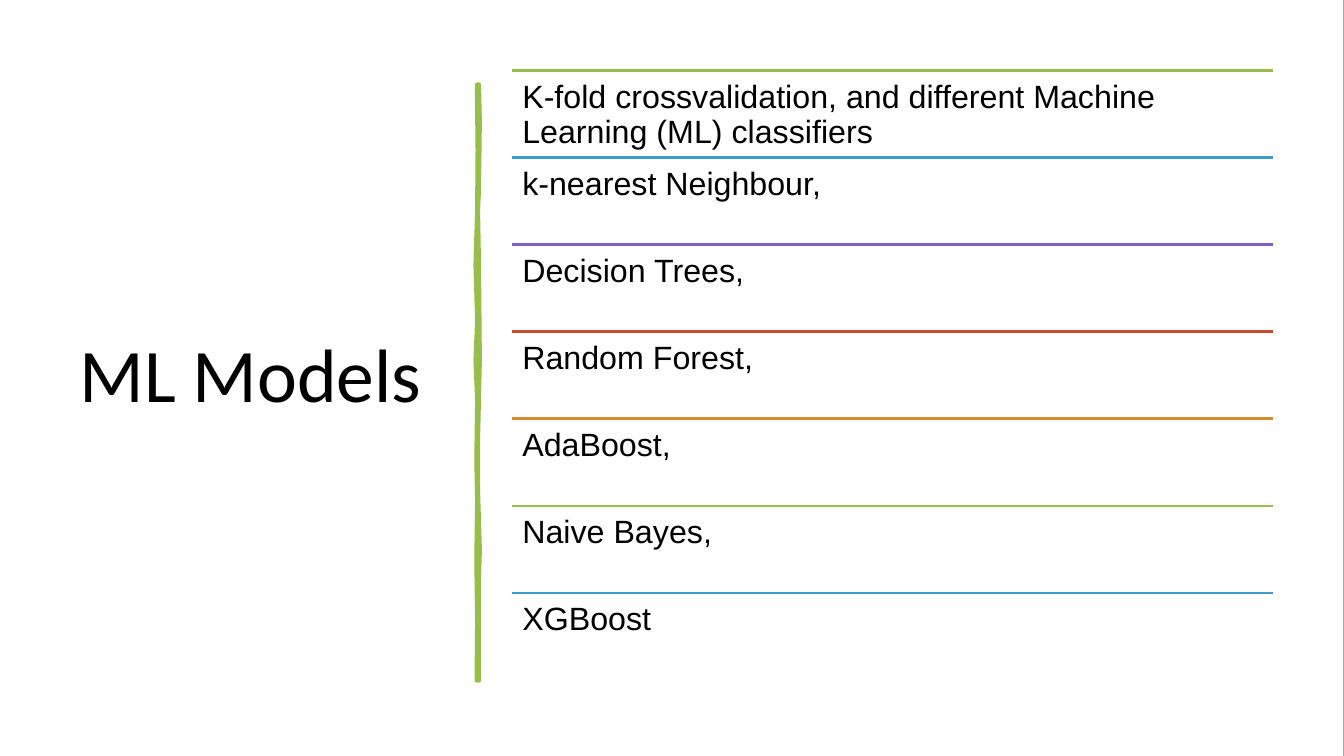
"""Build the ML Models slide: a title, a hand-drawn divider and a ruled list."""
from dataclasses import dataclass

from lxml.etree import SubElement
from pptx import Presentation
from pptx.dml.color import RGBColor
from pptx.enum.shapes import MSO_CONNECTOR as Connector, MSO_SHAPE as Preset
from pptx.enum.text import MSO_ANCHOR as Anchor
from pptx.oxml.ns import qn
from pptx.util import Pt


@dataclass(frozen=True)
class Theme:
    background: str = "000000"
    panel: str = "FFFFFF"
    text: str = "000000"
    divider: str = "97BE49"
    rules: tuple = ("97BE49", "3D9CCC", "7C60C6", "C9492C", "D58C2E")
    title_font: str = "Calibri"
    body_font: str = "Arial"
    title_size: float = 54
    body_size: float = 23


theme = Theme()
presentation = Presentation()
presentation.slide_width, presentation.slide_height = Pt(960), Pt(540)
slide = presentation.slides.add_slide(presentation.slide_layouts[6])
slide.background.fill.solid()
slide.background.fill.fore_color.rgb = RGBColor.from_string(theme.background)


def add_text(text, *, left, top, width, height, font, size, anchor, inset):
    box = slide.shapes.add_textbox(Pt(left), Pt(top), Pt(width), Pt(height))
    frame = box.text_frame
    frame.word_wrap = True
    frame.vertical_anchor = anchor
    frame.margin_left = frame.margin_right = Pt(7.2)
    frame.margin_top = frame.margin_bottom = Pt(inset)
    paragraph = frame.paragraphs[0]
    paragraph.line_spacing = 0.9
    run = paragraph.add_run()
    run.text = text
    run.font.name = font
    run.font.size = Pt(size)
    run.font.color.rgb = RGBColor.from_string(theme.text)


def paint(shape, color):
    shape.shadow.inherit = False
    shape.fill.solid()
    shape.fill.fore_color.rgb = RGBColor.from_string(color)


panel = slide.shapes.add_shape(Preset.RECTANGLE, 0, 0, Pt(959.75), Pt(540))
paint(panel, theme.panel)
panel.line.fill.background()

add_text("ML Models", left=49.7, top=50.4, width=269.3, height=439.2,
         font=theme.title_font, size=theme.title_size, anchor=Anchor.MIDDLE, inset=3.6)

right_edge = [(342, 60.5), (342.6, 86), (342, 136), (341.3, 150), (342, 189), (342.6, 257),
              (341.3, 314), (341.3, 350), (342.6, 393), (342, 414), (342, 486)]
left_edge = [(340.6, 486), (341, 443), (340.4, 400), (341, 357), (340.4, 329), (341, 286),
             (339.8, 257), (341, 229), (339.8, 189), (341, 150), (341.3, 107), (340.8, 60.5)]
outline = [(Pt(x), Pt(y)) for x, y in right_edge + left_edge]
builder = slide.shapes.build_freeform(*outline[0])
builder.add_line_segments(outline[1:], close=True)
divider = builder.convert_to_shape()
paint(divider, theme.divider)
divider.line.color.rgb = RGBColor.from_string(theme.divider)
divider.line.width = Pt(3.26)
SubElement(divider.line._get_or_add_ln(), qn("a:round"))

models = ["K-fold crossvalidation, and different Machine Learning (ML) classifiers",
          "k-nearest Neighbour,", "Decision Trees,", "Random Forest,",
          "AdaBoost,", "Naive Bayes,", "XGBoost"]
list_left, list_top, list_width, row_height = 366, 50.4, 543.4, 62.2

for index, model in enumerate(models):
    top = list_top + index * row_height
    rule = slide.shapes.add_connector(Connector.STRAIGHT, Pt(list_left), Pt(top),
                                      Pt(list_left + list_width), Pt(top))
    rule.line.color.rgb = RGBColor.from_string(theme.rules[index % len(theme.rules)])
    rule.line.width = Pt(2)
    SubElement(rule._element.spPr, qn("a:effectLst"))
    add_text(model, left=list_left, top=top, width=list_width, height=row_height,
             font=theme.body_font, size=theme.body_size, anchor=Anchor.TOP, inset=7.2)

presentation.save("out.pptx")
